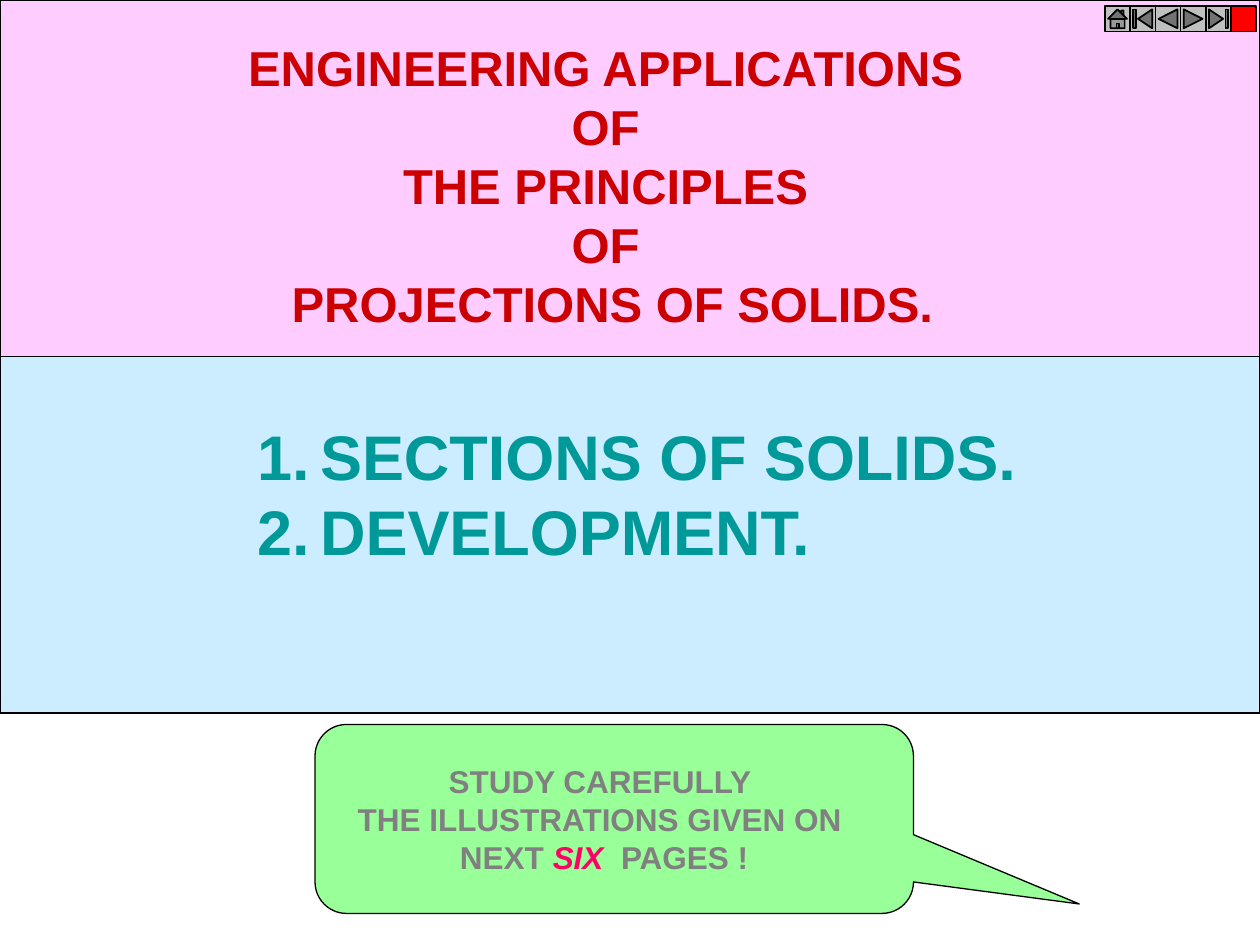
from dataclasses import dataclass
from lxml.etree import SubElement
from pptx import Presentation
from pptx.dml.color import RGBColor
from pptx.enum.shapes import MSO_SHAPE
from pptx.enum.text import MSO_ANCHOR, MSO_AUTO_SIZE, PP_ALIGN
from pptx.oxml.ns import qn
from pptx.util import Inches, Pt


@dataclass
class Theme:
    font: str = "Arial"
    ink: str = "000000"
    pink: str = "FFCCFF"
    blue: str = "CCECFF"
    green: str = "99FF99"
    red: str = "CC0000"
    teal: str = "009999"
    grey: str = "808080"
    rose: str = "FF0066"
    silver: str = "C0C0C0"
    stop: str = "FF0000"
    head: int = 28
    list: int = 36
    note: int = 18


theme = Theme()
deck = Presentation()
deck.slide_width, deck.slide_height = Inches(10), Inches(7.5)
slide = deck.slides.add_slide(deck.slide_layouts[1])
shapes = slide.shapes


def add_box(kind, place, fill, width=0.75):
    box = shapes.add_shape(kind, *[Inches(n) for n in place])
    box.shadow.inherit = False
    box.fill.solid()
    box.fill.fore_color.rgb = RGBColor.from_string(fill)
    box.line.color.rgb = RGBColor.from_string(theme.ink)
    box.line.width = Pt(width)
    return box


def set_text(box, place, lines, size, color, align):
    box.left, box.top, box.width, box.height = [Inches(n) for n in place]
    frame = box.text_frame
    frame.text = "\n".join(lines)
    frame.word_wrap = False
    frame.auto_size = MSO_AUTO_SIZE.SHAPE_TO_FIT_TEXT
    frame.vertical_anchor = MSO_ANCHOR.TOP
    for par in frame.paragraphs:
        par.alignment = align
        par.space_before = Pt(0)
        for run in par.runs:
            run.font.name = theme.font
            run.font.size = Pt(size)
            run.font.bold = True
            run.font.color.rgb = RGBColor.from_string(color)
    # Bring the text in front of the panels
    shapes.element.append(box.element)
    return frame


# Callout and the two panels
call = add_box(MSO_SHAPE.ROUNDED_RECTANGULAR_CALLOUT, (2.5, 5.75, 4.75, 1.5), theme.green)
for i, value in enumerate((0.777, 0.45, 0.167)):
    call.adjustments[i] = value
add_box(MSO_SHAPE.RECTANGLE, (0, 2.83, 10, 2.83), theme.blue)
add_box(MSO_SHAPE.RECTANGLE, (0, 0, 10, 2.83), theme.pink)

# Numbered topics
topics = set_text(slide.placeholders[1], (1.94, 3.26, 6.23, 1.3),
                  ["SECTIONS OF SOLIDS.", "DEVELOPMENT."],
                  theme.list, theme.teal, PP_ALIGN.LEFT)
for par in topics.paragraphs:
    props = par._p.get_or_add_pPr()
    props.set("marL", str(Inches(0.5)))
    props.set("indent", str(-Inches(0.5)))
    tint = SubElement(props, qn("a:buClr"))
    SubElement(tint, qn("a:srgbClr"), val=theme.teal)
    SubElement(props, qn("a:buFont"), typeface=theme.font)
    SubElement(props, qn("a:buAutoNum"), type="arabicPeriod")

# Title
set_text(shapes.title, (1.85, 0.25, 6.02, 2.44),
         ["ENGINEERING APPLICATIONS ", "OF ", "THE PRINCIPLES ", "OF ",
          "PROJECTIONS OF SOLIDS."],
         theme.head, theme.red, PP_ALIGN.CENTER)

# Callout text, with one word picked out
place = (2.73, 6, 4.13, 1)
note = set_text(shapes.add_textbox(*[Inches(n) for n in place]), place,
                ["STUDY CAREFULLY ", "THE ILLUSTRATIONS GIVEN ON ", "NEXT "],
                theme.note, theme.grey, PP_ALIGN.CENTER)
last = note.paragraphs[-1]
for text, color, slant in (("SIX  ", theme.rose, True), ("PAGES !", theme.grey, False)):
    run = last.add_run()
    run.text = text
    run.font.name = theme.font
    run.font.size = Pt(theme.note)
    run.font.bold = True
    run.font.italic = slant
    run.font.color.rgb = RGBColor.from_string(color)

# Navigation buttons
keys = [
    (MSO_SHAPE.ACTION_BUTTON_HOME, theme.silver),
    (MSO_SHAPE.ACTION_BUTTON_BEGINNING, theme.silver),
    (MSO_SHAPE.ACTION_BUTTON_BACK_OR_PREVIOUS, theme.silver),
    (MSO_SHAPE.ACTION_BUTTON_FORWARD_OR_NEXT, theme.silver),
    (MSO_SHAPE.ACTION_BUTTON_END, theme.silver),
    (MSO_SHAPE.ACTION_BUTTON_CUSTOM, theme.stop),
]
for i, (kind, fill) in enumerate(keys):
    add_box(kind, (8.77 + 0.2 * i, 0.05, 0.2, 0.2), fill, 1)

deck.save("out.pptx")
